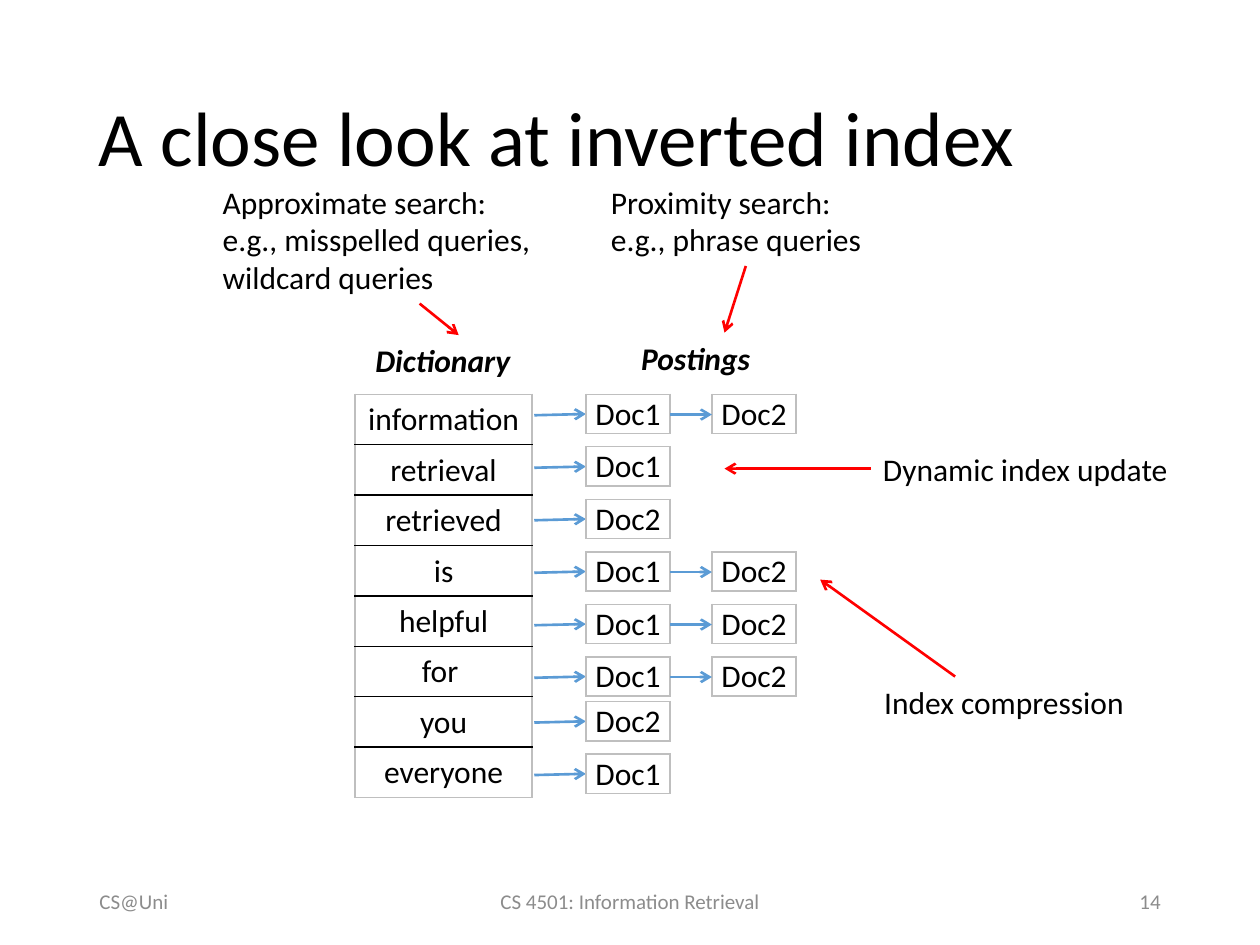
from dataclasses import dataclass

from lxml.etree import SubElement
from pptx import Presentation
from pptx.dml.color import RGBColor
from pptx.enum.shapes import MSO_CONNECTOR as Connector
from pptx.enum.text import MSO_ANCHOR as Anchor, MSO_AUTO_SIZE as AutoSize, PP_ALIGN as Align
from pptx.oxml import parse_xml
from pptx.oxml.ns import nsdecls, qn
from pptx.util import Pt


@dataclass(frozen=True)
class Theme:
    font: str = "Calibri"
    title_size: int = 44
    body_size: int = 18
    footer_size: int = 12
    ink: str = "000000"
    muted: str = "8C8C8C"
    frame: str = "BFBFBF"
    link: str = "5B9BD5"
    callout: str = "FF0000"
    line_width: float = 1.5


THEME = Theme()

INDEX = [
    ("information", ["Doc1", "Doc2"]),
    ("retrieval", ["Doc1"]),
    ("retrieved", ["Doc2"]),
    ("is", ["Doc1", "Doc2"]),
    ("helpful", ["Doc1", "Doc2"]),
    ("for ", ["Doc1", "Doc2"]),
    ("you", ["Doc2"]),
    ("everyone", ["Doc1"]),
]
INDEX_TOP = 225.3
TERM_LEFT, TERM_WIDTH, TERM_HEIGHT = 203, 101, 28.8
DOC_LEFT, DOC_WIDTH, DOC_HEIGHT = 334.8, 48.2, 22.5
DOC_STEP, POSTING_STEP = 72, 30
TAIL_START, TAIL_SHIFT = 6, -4.4

HEADINGS = [
    ("Dictionary", (207.4, 191.5, 110, 29)),
    ("Postings", (359.3, 190.1, 110, 29)),
]
CALLOUTS = [
    (["Approximate search:", "e.g., misspelled queries, wildcard queries"],
     (120.2, 100.8, 239, 72.7), (239.8, 173.5), (262.1, 191.5)),
    (["Proximity search:", "e.g., phrase queries"],
     (342, 100.8, 239, 51), (426.2, 152), (414, 190.1)),
    (["Index compression"], (498.2, 386.6, 186, 29), (545.8, 386.6), (468.7, 331.2)),
    (["Dynamic index update"], (497.5, 253.4, 186, 29), (497.5, 267.8), (414, 267.8)),
]
FOOTERS = [
    ("CS@Uni", 49.7, 162, Align.LEFT),
    ("CS 4501: Information Retrieval", 238.3, 243.4, Align.CENTER),
    ("14", 508.3, 162, Align.RIGHT),
]


def apply_format(target, values):
    for name, value in values.items():
        setattr(target, name, value)


def write_paragraph(para, text, size=THEME.body_size, color=THEME.ink,
                    bold=False, layout=None):
    apply_format(para, layout or {})
    span = para.add_run()
    span.text = text
    apply_format(span.font, {"name": THEME.font, "size": Pt(size), "bold": bold, "italic": bold})
    span.font.color.rgb = RGBColor.from_string(color)


def add_text(page, lines, bounds, frame_format=None, **style):
    box = page.shapes.add_textbox(*map(Pt, bounds))
    frame = box.text_frame
    apply_format(frame, {"word_wrap": True, **(frame_format or {})})
    for position, line in enumerate(lines):
        para = frame.add_paragraph() if position else frame.paragraphs[0]
        write_paragraph(para, line, **style)


def add_arrow(page, start, end, color):
    arrow = page.shapes.add_connector(Connector.STRAIGHT, *map(Pt, (*start, *end)))
    arrow.line.width = Pt(THEME.line_width)
    arrow.line.color.rgb = RGBColor.from_string(color)
    SubElement(arrow.line._get_or_add_ln(), qn("a:tailEnd"), type="arrow")
    SubElement(arrow._element.spPr, qn("a:effectLst"))


def set_borders(cell, colors):
    properties = cell._tc.get_or_add_tcPr()
    for position, (side, color) in enumerate(colors.items()):
        border = parse_xml(
            f'<a:{side} {nsdecls("a")} w="12700"><a:solidFill>'
            f'<a:srgbClr val="{color}"/></a:solidFill></a:{side}>')
        properties.insert(position, border)


def add_column(page, texts, left, top, width, row_height):
    count = len(texts)
    holder = page.shapes.add_table(
        count, 1, *map(Pt, (left, top, width, row_height * count)))
    table = holder.table
    apply_format(table, {"first_row": False, "horz_banding": False})
    for row, text in enumerate(texts):
        table.rows[row].height = Pt(row_height)
        cell = table.cell(row, 0)
        apply_format(cell, {
            "vertical_anchor": Anchor.MIDDLE, "margin_left": Pt(0.7),
            "margin_right": Pt(0.7), "margin_top": Pt(0.7), "margin_bottom": Pt(0)})
        cell.fill.background()
        set_borders(cell, {
            "lnL": THEME.frame, "lnR": THEME.frame,
            "lnT": THEME.ink if row else THEME.frame,
            "lnB": THEME.ink if row < count - 1 else THEME.frame})
        write_paragraph(cell.text_frame.paragraphs[0], text,
                        layout={"alignment": Align.CENTER})


def add_postings(page, row, documents):
    top = INDEX_TOP + POSTING_STEP * row + (TAIL_SHIFT if row >= TAIL_START else 0)
    add_arrow(page, (305.3, top + 12), (DOC_LEFT, top + 11.3), THEME.link)
    for position, document in enumerate(documents):
        left = DOC_LEFT + DOC_STEP * position
        add_column(page, [document], left, top, DOC_WIDTH, DOC_HEIGHT)
        if position:
            add_arrow(page, (left - DOC_STEP + DOC_WIDTH, top + 11.6),
                      (left, top + 11.6), THEME.link)


def main():
    deck = Presentation()
    apply_format(deck, {"slide_width": Pt(720), "slide_height": Pt(540)})
    page = deck.slides.add_slide(deck.slide_layouts[6])
    middle = {"vertical_anchor": Anchor.MIDDLE}
    grow = {"auto_size": AutoSize.SHAPE_TO_FIT_TEXT}
    add_text(page, ["A close look at inverted index"], (49.5, 28.8, 621, 104.4),
             middle, size=THEME.title_size, layout={"line_spacing": 0.9})
    add_column(page, [term for term, _ in INDEX],
               TERM_LEFT, INDEX_TOP, TERM_WIDTH, TERM_HEIGHT)
    for row, (_, documents) in enumerate(INDEX):
        add_postings(page, row, documents)
    for text, bounds in HEADINGS:
        add_text(page, [text], bounds, grow, bold=True)
    for lines, bounds, start, end in CALLOUTS:
        add_text(page, lines, bounds, grow)
        add_arrow(page, start, end, THEME.callout)
    for text, left, width, alignment in FOOTERS:
        add_text(page, [text], (left, 500.5, width, 28.8), middle,
                 size=THEME.footer_size, color=THEME.muted,
                 layout={"alignment": alignment})
    deck.save("out.pptx")


if __name__ == "__main__":
    main()
